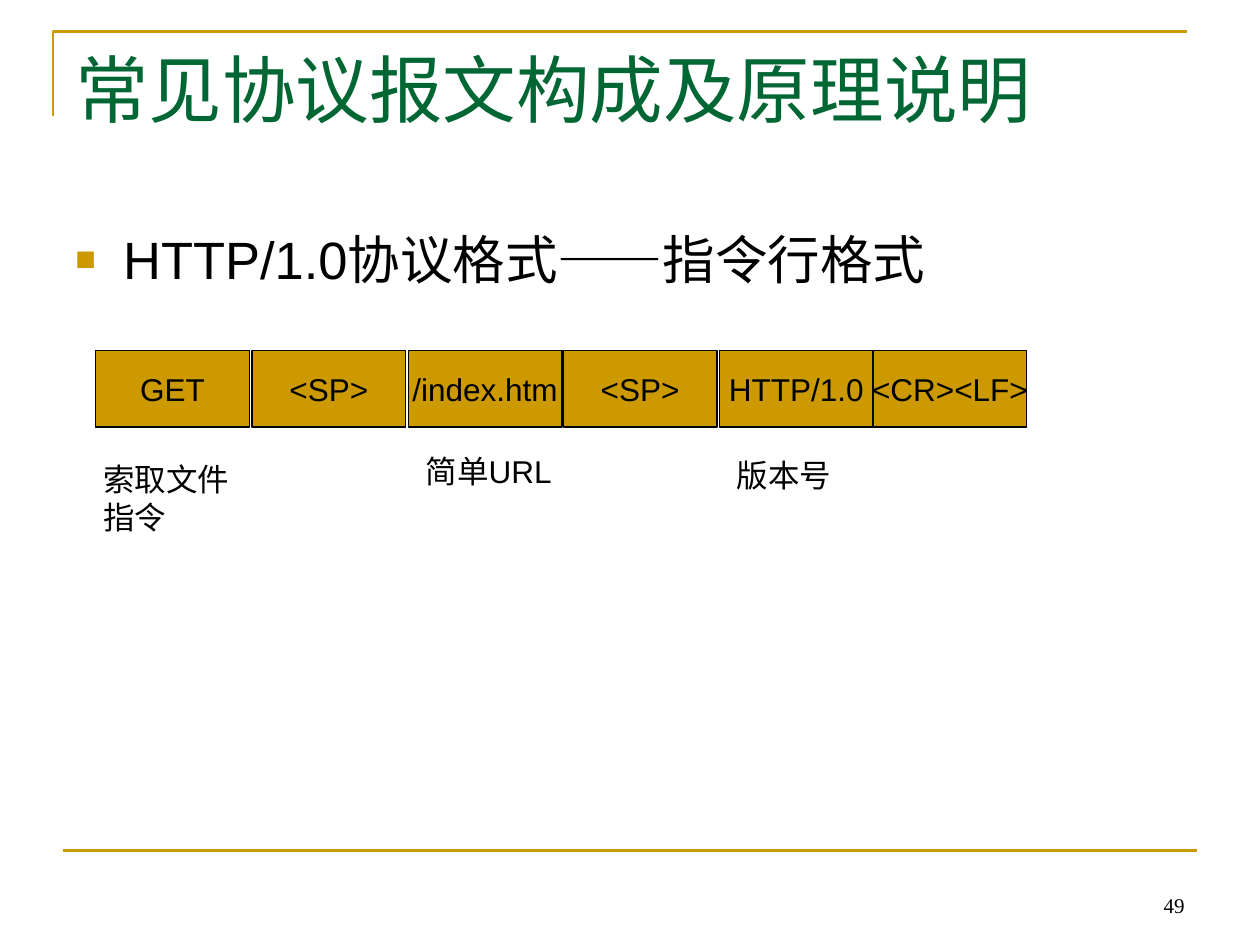
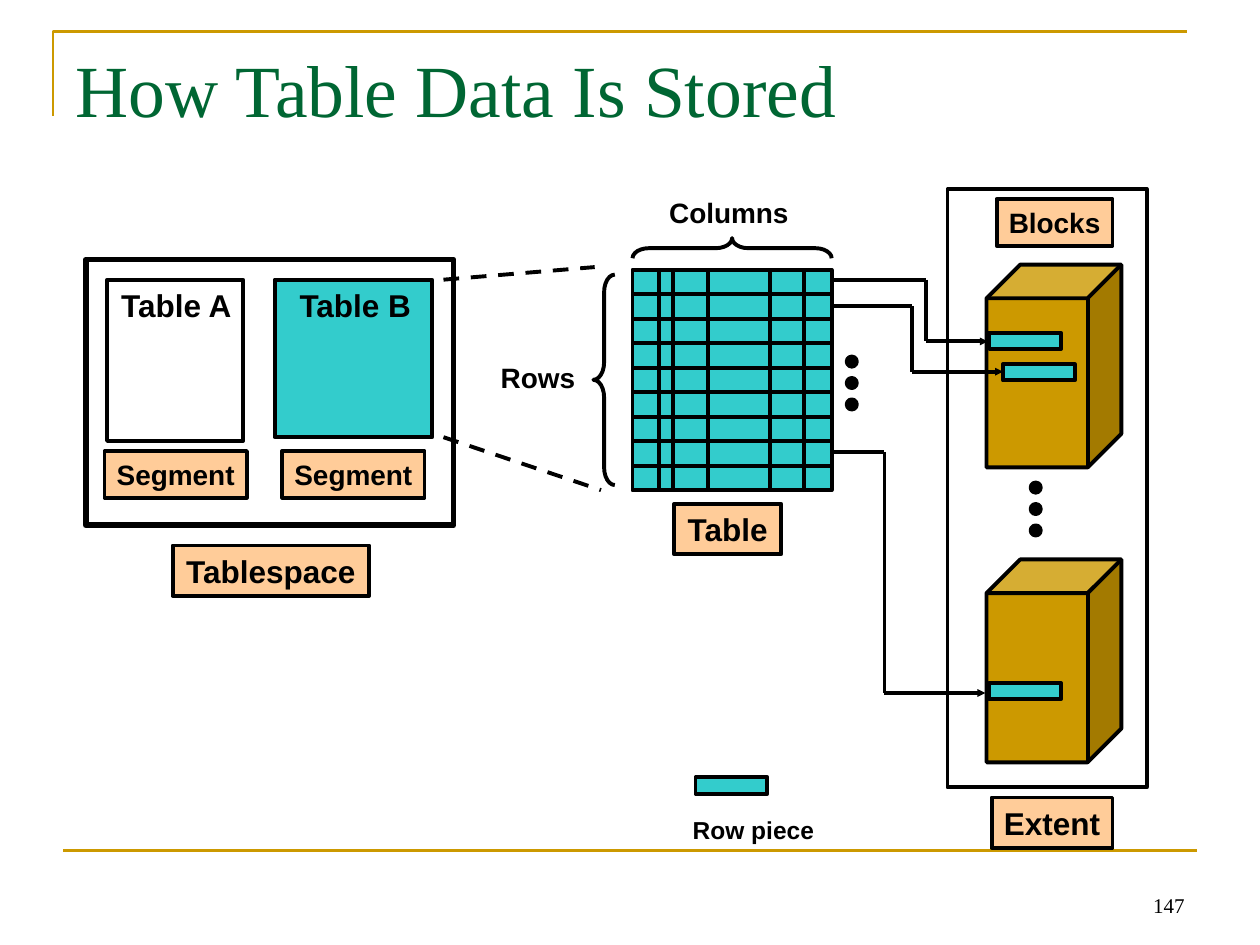
import itertools

import lxml.etree
import pptx
import pptx.dml.color
import pptx.enum.dml
import pptx.enum.shapes
import pptx.enum.text
import pptx.oxml.ns
import pptx.util

Inches = pptx.util.Inches
Pt = pptx.util.Pt
Color = pptx.dml.color.RGBColor
Shape = pptx.enum.shapes.MSO_SHAPE
Align = pptx.enum.text.PP_ALIGN
Anchor = pptx.enum.text.MSO_ANCHOR
qn = pptx.oxml.ns.qn

GOLD = Color(0xCC, 0x99, 0x00)
GREEN = Color(0x00, 0x66, 0x33)
BLACK = Color(0x00, 0x00, 0x00)
TEAL = Color(0x33, 0xCC, 0xCC)
PEACH = Color(0xFF, 0xCC, 0x99)
SANS = "Arial"
SERIF = "Times New Roman"
LINE_WIDTH = 2.25


def write(shape, text, size, font=SANS, color=BLACK, bold=False,
          align=Align.LEFT, anchor=Anchor.TOP, wrap=True):
    """Write one formatted run into a shape and return its paragraph."""
    frame = shape.text_frame
    frame.word_wrap = wrap
    frame.vertical_anchor = anchor
    paragraph = frame.paragraphs[0]
    paragraph.alignment = align
    run = paragraph.add_run()
    run.text = text
    run.font.size = Pt(size)
    run.font.name = font
    run.font.bold = bold
    run.font.color.rgb = color
    return paragraph


def add_text(slide, box, text, size, **style):
    """Add a text box at (left, top, width, height)."""
    shape = slide.shapes.add_textbox(*map(Inches, box))
    return write(shape, text, size, **style)


def add_outline(slide, kind, box, fill=None, width=LINE_WIDTH):
    """Add a black-outlined preset shape, filled if a colour is given."""
    shape = slide.shapes.add_shape(kind, *map(Inches, box))
    shape.shadow.inherit = False
    if fill is None:
        shape.fill.background()
    else:
        shape.fill.solid()
        shape.fill.fore_color.rgb = fill
    shape.line.color.rgb = BLACK
    shape.line.width = Pt(width)
    return shape


def add_line(slide, start, end, color=BLACK, width=LINE_WIDTH, dashed=False, arrow=False):
    """Draw a straight line between two points."""
    connector = slide.shapes.add_connector(
        pptx.enum.shapes.MSO_CONNECTOR.STRAIGHT, *map(Inches, (*start, *end)))
    connector.line.color.rgb = color
    connector.line.width = Pt(width)
    if dashed:
        connector.line.dash_style = pptx.enum.dml.MSO_LINE.DASH
    properties = connector._element.spPr
    if arrow:
        lxml.etree.SubElement(properties.find(qn("a:ln")), qn("a:tailEnd"),
                              type="triangle", w="sm", len="sm")
    lxml.etree.SubElement(properties, qn("a:effectLst"))


def add_tag(slide, box, text, size):
    """Add a peach name tag with bold text."""
    tag = add_outline(slide, Shape.RECTANGLE, box, PEACH)
    write(tag, text, size, bold=True, align=Align.CENTER, wrap=False)


def add_caption(slide, box, text, size):
    """Add a bold centred caption without a frame."""
    add_text(slide, box, text, size, bold=True, align=Align.CENTER, wrap=False)


def add_row_piece(slide, left, top):
    """Add the small teal bar that stands for a row piece."""
    add_outline(slide, Shape.RECTANGLE, (left, top, 0.57, 0.13), TEAL)


def add_dots(slide, left, top):
    """Add three dots, one below the other."""
    for index in range(3):
        add_outline(slide, Shape.OVAL, (left, top + 0.17 * index, 0.08, 0.08), BLACK)


def add_brace(slide, box, curve, rotation=0):
    """Add a left brace, turned by the given angle."""
    brace = add_outline(slide, Shape.LEFT_BRACE, box)
    brace.adjustments[0] = curve
    brace.rotation = rotation


def add_frame(presentation, title, number):
    """Add a slide with the shared rules, title and page number."""
    slide = presentation.slides.add_slide(presentation.slide_layouts[6])
    builder = slide.shapes.build_freeform(Inches(0.42), Inches(0.92))
    builder.add_line_segments(
        [(Inches(0.42), Inches(0.25)), (Inches(9.42), Inches(0.25))], close=False)
    corner = builder.convert_to_shape()
    corner.shadow.inherit = False
    corner.fill.background()
    corner.line.color.rgb = GOLD
    corner.line.width = Pt(1.5)
    add_line(slide, (0.5, 6.75), (9.5, 6.75), GOLD, 1.5)
    add_text(slide, (7.17, 6.83, 2.33, 0.5), str(number), 12, font=SERIF,
             align=Align.RIGHT, anchor=Anchor.BOTTOM)
    add_text(slide, (0.5, 0.3, 9, 1.25), title, 42, font=SERIF, color=GREEN)
    return slide


def add_bullet(slide, box, text):
    """Add a paragraph with a gold square bullet."""
    paragraph = add_text(slide, box, text, 30)
    properties = paragraph._p.get_or_add_pPr()
    properties.set("marL", str(Inches(0.38)))
    properties.set("indent", str(Inches(-0.38)))
    bullet_color = lxml.etree.SubElement(properties, qn("a:buClr"))
    lxml.etree.SubElement(bullet_color, qn("a:srgbClr"), val=str(GOLD))
    lxml.etree.SubElement(properties, qn("a:buSzPct"), val="65000")
    lxml.etree.SubElement(properties, qn("a:buFont"), typeface=SANS)
    lxml.etree.SubElement(properties, qn("a:buChar"), char="■")


def add_request_line(slide, left, top):
    """Draw the fields of the request line and their explanations."""
    fields = [(0, "GET"), (1.24, "<SP>"), (2.48, "/index.htm"),
              (3.71, "<SP>"), (4.95, "HTTP/1.0"), (6.17, "<CR><LF>")]
    for offset, text in fields:
        field = add_outline(slide, Shape.RECTANGLE,
                            (left + offset, top, 1.22, 0.61), GOLD, 0.75)
        write(field, text, 18, align=Align.CENTER, anchor=Anchor.MIDDLE, wrap=False)
    notes = [(4.99, 0.79, 0.4, "版本号"), (2.52, 0.76, 0.7, "简单URL"),
             (-0.04, 0.82, 0.7, "索取文件指令")]
    for offset, drop, height, text in notes:
        add_text(slide, (left + offset, top + drop, 1.24, height), text, 18)


def add_tablespace(slide, left, top):
    """Draw the tablespace with its two table segments."""
    add_outline(slide, Shape.RECTANGLE, (left, top, 2.92, 2.11), width=3.25)
    add_tag(slide, (left + 0.69, top + 2.27, 1.56, 0.4), "Tablespace", 18)
    tables = [("Table A", 0.17, 1.08, 1.28, None, 0.17, 0.15),
              ("Table B", 1.5, 1.25, 1.25, TEAL, 1.59, 1.56)]
    for name, offset, width, height, fill, name_offset, tag_offset in tables:
        add_outline(slide, Shape.RECTANGLE,
                    (left + offset, top + 0.16, width, height), fill)
        add_caption(slide, (left + name_offset, top + 0.16, 1.1, 0.4), name, 18)
        add_tag(slide, (left + tag_offset, top + 1.52, 1.13, 0.37), "Segment", 16)


def add_table_grid(slide, left, top, width, height):
    """Draw the enlarged table with braces for its rows and columns."""
    add_outline(slide, Shape.RECTANGLE, (left, top, width, height), TEAL)
    row_count = 9
    for index in range(1, row_count):
        y = top + height * index / row_count
        add_line(slide, (left, y), (left + width, y))
    for offset in (0.21, 0.32, 0.6, 1.09, 1.36):
        add_line(slide, (left + offset, top), (left + offset, top + height))
    add_line(slide, (left - 1.5, top + 0.08), (left - 0.3, top - 0.02), dashed=True)
    add_line(slide, (left - 1.5, top + 1.33), (left - 0.25, top + height), dashed=True)
    add_caption(slide, (left - 1.25, top + 0.67, 1, 0.37), "Rows", 16)
    add_caption(slide, (left + 0.19, top - 0.64, 1.15, 0.37), "Columns", 16)
    add_brace(slide, (left - 0.31, top + 0.04, 0.17, 1.67), 0.82)
    add_brace(slide, (left + 0.71, top - 0.96, 0.16, 1.58), 0.81, 90)
    add_tag(slide, (left + 0.33, top + 1.86, 0.85, 0.4), "Table", 18)
    add_dots(slide, left + 1.7, top + 0.69)


def add_extent(slide, left, top):
    """Draw the extent with its blocks and their row pieces."""
    for offset in (0.6, 2.94):
        cube = add_outline(slide, Shape.CUBE, (left + 0.31, top + offset, 1.07, 1.61), GOLD)
        cube.adjustments[0] = 0.25
    for across, down in ((0.33, 1.14), (0.44, 1.39), (0.33, 3.92)):
        add_row_piece(slide, left + across, top + down)
    add_dots(slide, left + 0.66, top + 2.33)
    add_outline(slide, Shape.RECTANGLE, (left, top, 1.58, 4.75))
    add_tag(slide, (left + 0.39, top + 0.08, 0.92, 0.37), "Blocks", 16)
    add_tag(slide, (left + 0.35, top + 4.83, 0.96, 0.4), "Extent", 18)


def add_row_links(slide, left, top):
    """Link table rows to their row pieces with stepped arrows."""
    links = [(0, 0.75, 0.49, 1.24), (0.21, 0.64, 0.73, 1.36), (1.37, 0.42, 3.28, 1.22)]
    for start_y, bend_x, end_y, end_x in links:
        points = [(left, top + start_y), (left + bend_x, top + start_y),
                  (left + bend_x, top + end_y), (left + end_x, top + end_y)]
        for start, end in itertools.pairwise(points):
            add_line(slide, start, end, arrow=end == points[-1])


def add_legend(slide, left, top):
    """Explain the row piece symbol."""
    add_row_piece(slide, left, top)
    add_caption(slide, (left - 0.24, top + 0.25, 1.4, 0.34), "Row piece", 14)


def build_http_slide(presentation):
    """Build the slide on the HTTP request line."""
    slide = add_frame(presentation, "常见协议报文构成及原理说明", 49)
    add_bullet(slide, (0.5, 1.75, 9, 3.45), "HTTP/1.0协议格式——指令行格式")
    add_request_line(slide, 0.76, 2.78)


def build_storage_slide(presentation):
    """Build the slide on table data storage."""
    slide = add_frame(presentation, "How Table Data Is Stored", 147)
    add_tablespace(slide, 0.68, 2.06)
    add_table_grid(slide, 5.02, 2.14, 1.58, 1.75)
    add_extent(slide, 7.52, 1.5)
    add_row_links(slide, 6.6, 2.22)
    add_legend(slide, 5.52, 6.17)


def main():
    """Build and save the presentation."""
    presentation = pptx.Presentation()
    presentation.slide_width = Inches(10)
    presentation.slide_height = Inches(7.5)
    build_http_slide(presentation)
    build_storage_slide(presentation)
    presentation.save("out.pptx")


if __name__ == "__main__":
    main()
